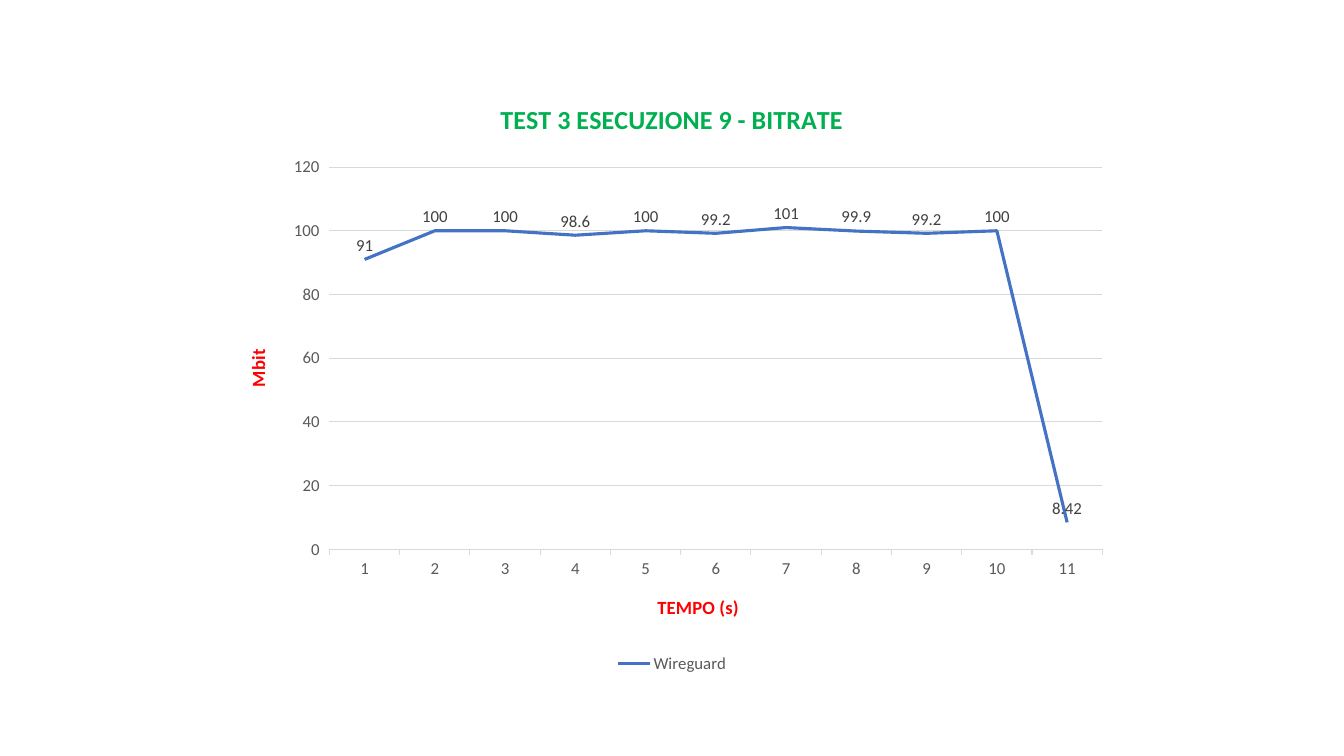
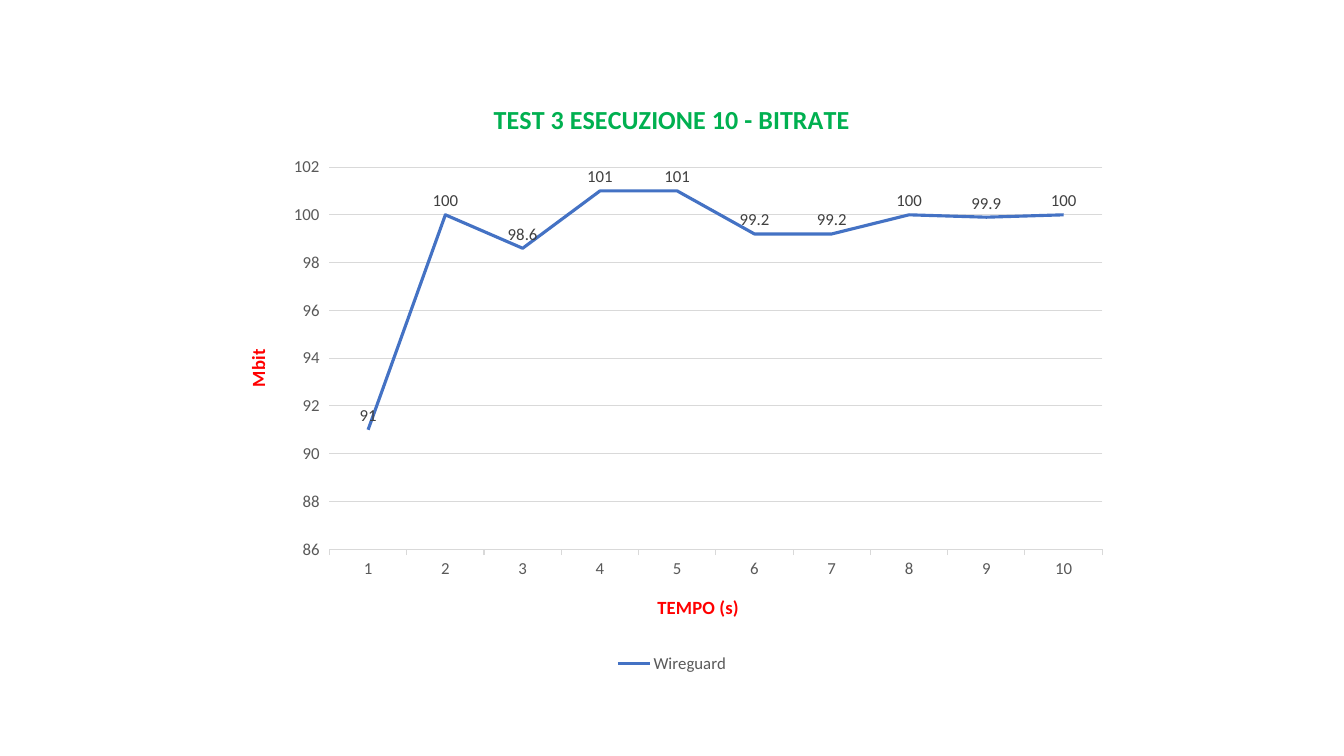
from dataclasses import dataclass

from pptx import Presentation
from pptx import util as u
from pptx.chart import data as chart_data
from pptx.dml import color
from pptx.enum import chart as c


@dataclass(frozen=True)
class Theme:
    font: str = "Calibri"
    title_color: str = "00B050"
    axis_title_color: str = "FF0000"
    text_color: str = "595959"
    label_color: str = "404040"
    grid_color: str = "D9D9D9"
    series_color: str = "4472C4"
    title_size: float = 18.6
    axis_title_size: float = 13.3
    text_size: float = 12
    grid_width: float = 0.75
    series_width: float = 2.25


def format_font(font, name, size, fill, bold=False):
    font.name = name
    font.size = u.Pt(size)
    font.bold = bold
    font.color.rgb = color.RGBColor.from_string(fill)


def write_text(text_frame, text, **style):
    paragraph = text_frame.paragraphs[0]
    run = paragraph.add_run()
    run.text = text
    format_font(run.font, **style)


def format_line(line, fill, width):
    line.color.rgb = color.RGBColor.from_string(fill)
    line.width = u.Pt(width)


class Deck:
    def __init__(self, theme):
        self.theme = theme
        self.presentation = Presentation()
        self.presentation.slide_width = u.Inches(13.33)
        self.presentation.slide_height = u.Inches(7.5)
        self.slide = None

    def add_slide(self):
        blank_layout = self.presentation.slide_layouts[6]
        self.slide = self.presentation.slides.add_slide(blank_layout)

    def add_bitrate_chart(self, title, bitrates, scale):
        theme = self.theme
        data = chart_data.CategoryChartData()
        data.categories = [str(second) for second in range(1, len(bitrates) + 1)]
        data.add_series("Wireguard", bitrates)
        chart = self.slide.shapes.add_chart(
            c.XL_CHART_TYPE.LINE,
            u.Inches(2.22), u.Inches(0.79), u.Inches(8.89), u.Inches(5.93),
            data,
        ).chart
        format_font(chart.font, theme.font, theme.text_size, theme.text_color)
        chart.has_title = True
        write_text(chart.chart_title.text_frame, title, name=theme.font,
                   size=theme.title_size, fill=theme.title_color, bold=True)
        chart.chart_title.include_in_layout = False
        self.format_legend(chart)
        self.format_axis(chart.category_axis, "TEMPO (s)")
        self.format_axis(chart.value_axis, "Mbit")
        self.format_scale(chart, scale)
        self.format_series(chart.plots[0])

    def format_legend(self, chart):
        chart.has_legend = True
        chart.legend.position = c.XL_LEGEND_POSITION.BOTTOM
        chart.legend.include_in_layout = False
        format_font(chart.legend.font, self.theme.font,
                    self.theme.text_size, self.theme.text_color)

    def format_axis(self, axis, title):
        theme = self.theme
        axis.has_title = True
        write_text(axis.axis_title.text_frame, title, name=theme.font,
                   size=theme.axis_title_size, fill=theme.axis_title_color,
                   bold=True)
        axis.major_tick_mark = c.XL_TICK_MARK.OUTSIDE
        axis.minor_tick_mark = c.XL_TICK_MARK.NONE
        format_font(axis.tick_labels.font, theme.font,
                    theme.text_size, theme.text_color)

    def format_scale(self, chart, scale):
        theme = self.theme
        axis = chart.value_axis
        axis.minimum_scale, axis.maximum_scale, axis.major_unit = scale
        axis.has_major_gridlines = True
        format_line(axis.major_gridlines.format.line,
                    theme.grid_color, theme.grid_width)
        axis.format.line.fill.background()
        format_line(chart.category_axis.format.line,
                    theme.grid_color, theme.grid_width)

    def format_series(self, plot):
        theme = self.theme
        plot.vary_by_categories = False
        series = plot.series[0]
        series.smooth = False
        series.marker.style = c.XL_MARKER_STYLE.NONE
        format_line(series.format.line, theme.series_color, theme.series_width)
        labels = series.data_labels
        labels.show_value = True
        labels.position = c.XL_LABEL_POSITION.ABOVE
        format_font(labels.font, theme.font, theme.text_size, theme.label_color)


RUNS = [
    (9, [91, 100, 100, 98.6, 100, 99.2, 101, 99.9, 99.2, 100, 8.42], (0, 120, 20)),
    (10, [91, 100, 98.6, 101, 101, 99.2, 99.2, 100, 99.9, 100], (86, 102, 2)),
]


def main():
    deck = Deck(Theme())
    for number, bitrates, scale in RUNS:
        deck.add_slide()
        deck.add_bitrate_chart(f"TEST 3 ESECUZIONE {number} - BITRATE", bitrates, scale)
    deck.presentation.save("out.pptx")


if __name__ == "__main__":
    main()
